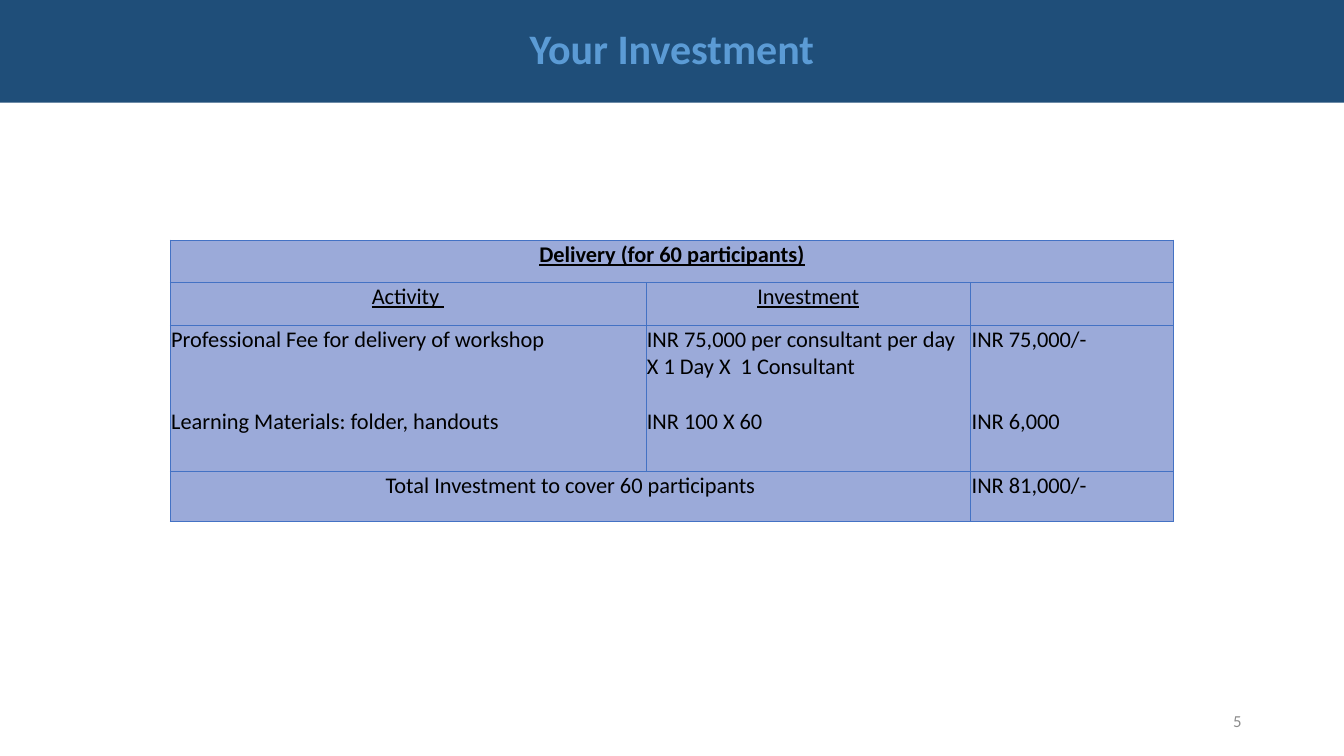
from lxml import etree
from pptx import Presentation
from pptx.dml.color import RGBColor
from pptx.enum import text as t
from pptx.oxml import ns
from pptx.util import Pt

NAVY = RGBColor(0x1F, 0x4E, 0x79)
SKY = RGBColor(0x5B, 0x9B, 0xD5)
LILAC = RGBColor(0x9B, 0xAA, 0xD9)
BLUE = RGBColor(0x44, 0x72, 0xC4)
GREY = RGBColor(0x8C, 0x8C, 0x8C)
BLACK = RGBColor(0, 0, 0)

LEFT, CENTER, RIGHT = t.PP_ALIGN.LEFT, t.PP_ALIGN.CENTER, t.PP_ALIGN.RIGHT
JUSTIFY = t.PP_ALIGN.JUSTIFY

TITLE = "Your Investment"
PAGE_NUMBER = "5"
COLUMNS = [339.8, 232, 145]
ROWS = [30.4, 30.4, 104.4, 35.6]
LINE = 19.5
HEADING = {"align": CENTER, "underline": True}
CELLS = [
    (0, 0, ["Delivery (for 60 participants)"], {**HEADING, "bold": True}),
    (1, 0, ["Activity "], HEADING),
    (1, 1, ["Investment"], HEADING),
    (2, 0, ["Professional Fee for delivery of workshop",
            "Learning Materials: folder, handouts"], {"gap": 2 * LINE}),
    (2, 1, ["INR 75,000 per consultant per day X 1 Day X  1 Consultant",
            "INR 100 X 60"], {"gap": LINE}),
    (2, 2, ["INR 75,000/-", "INR 6,000"], {"gap": 2 * LINE}),
    (3, 0, ["Total Investment to cover 60 participants"], {"align": CENTER}),
    (3, 2, ["INR 81,000/-"], {"align": JUSTIFY}),
]
MERGES = [((0, 0), (0, 2)), ((3, 0), (3, 1))]


def write(frame, lines, size=16, color=BLACK, bold=False, underline=False,
          align=LEFT, gap=0, spacing=1.0):
    for index, line in enumerate(lines):
        para = frame.add_paragraph() if index else frame.paragraphs[0]
        para.alignment = align
        para.line_spacing = spacing
        para.space_before = Pt(gap if index else 0)
        span = para.add_run()
        span.text = line
        span.font.name = "Calibri"
        span.font.size = Pt(size)
        span.font.bold = bold
        span.font.underline = underline
        span.font.color.rgb = color


def add_borders(cell):
    properties = cell._tc.get_or_add_tcPr()
    for index, side in enumerate(["lnL", "lnR", "lnT", "lnB"]):
        border = etree.Element(ns.qn("a:" + side), w=str(Pt(0.5)))
        fill = etree.SubElement(border, ns.qn("a:solidFill"))
        etree.SubElement(fill, ns.qn("a:srgbClr"), val=str(BLUE))
        properties.insert(index, border)


def add_title(page, width):
    band = page.shapes.title
    band.left, band.top, band.width, band.height = Pt(0), Pt(0), width, Pt(73.4)
    band.fill.solid()
    band.fill.fore_color.rgb = NAVY
    frame = band.text_frame
    frame.auto_size = t.MSO_AUTO_SIZE.NONE
    frame.vertical_anchor = t.MSO_ANCHOR.MIDDLE
    write(frame, [TITLE], size=30, color=SKY, bold=True, align=CENTER, spacing=0.9)


def add_investment_table(page):
    table = page.shapes.add_table(
        len(ROWS), len(COLUMNS), Pt(121.6), Pt(171.4),
        Pt(sum(COLUMNS)), Pt(sum(ROWS))).table
    for column, width in zip(table.columns, COLUMNS):
        column.width = Pt(width)
    for row, height in zip(table.rows, ROWS):
        row.height = Pt(height)
    for cell in table.iter_cells():
        cell.margin_left = cell.margin_right = cell.margin_top = Pt(0.7)
        cell.margin_bottom = Pt(0)
        cell.fill.solid()
        cell.fill.fore_color.rgb = LILAC
        add_borders(cell)
    for first, last in MERGES:
        table.cell(*first).merge(table.cell(*last))
    for row, column, lines, style in CELLS:
        write(table.cell(row, column).text_frame, lines, **style)


def add_page_number(page):
    box = page.shapes.add_textbox(Pt(678), Pt(500.5), Pt(216), Pt(28.8))
    box.text_frame.word_wrap = True
    box.text_frame.vertical_anchor = t.MSO_ANCHOR.MIDDLE
    write(box.text_frame, [PAGE_NUMBER], size=12, color=GREY, align=RIGHT)


def main():
    deck = Presentation()
    deck.slide_width, deck.slide_height = Pt(960), Pt(540)
    page = deck.slides.add_slide(deck.slide_layouts[5])
    add_title(page, deck.slide_width)
    add_investment_table(page)
    add_page_number(page)
    deck.save("out.pptx")


if __name__ == "__main__":
    main()
